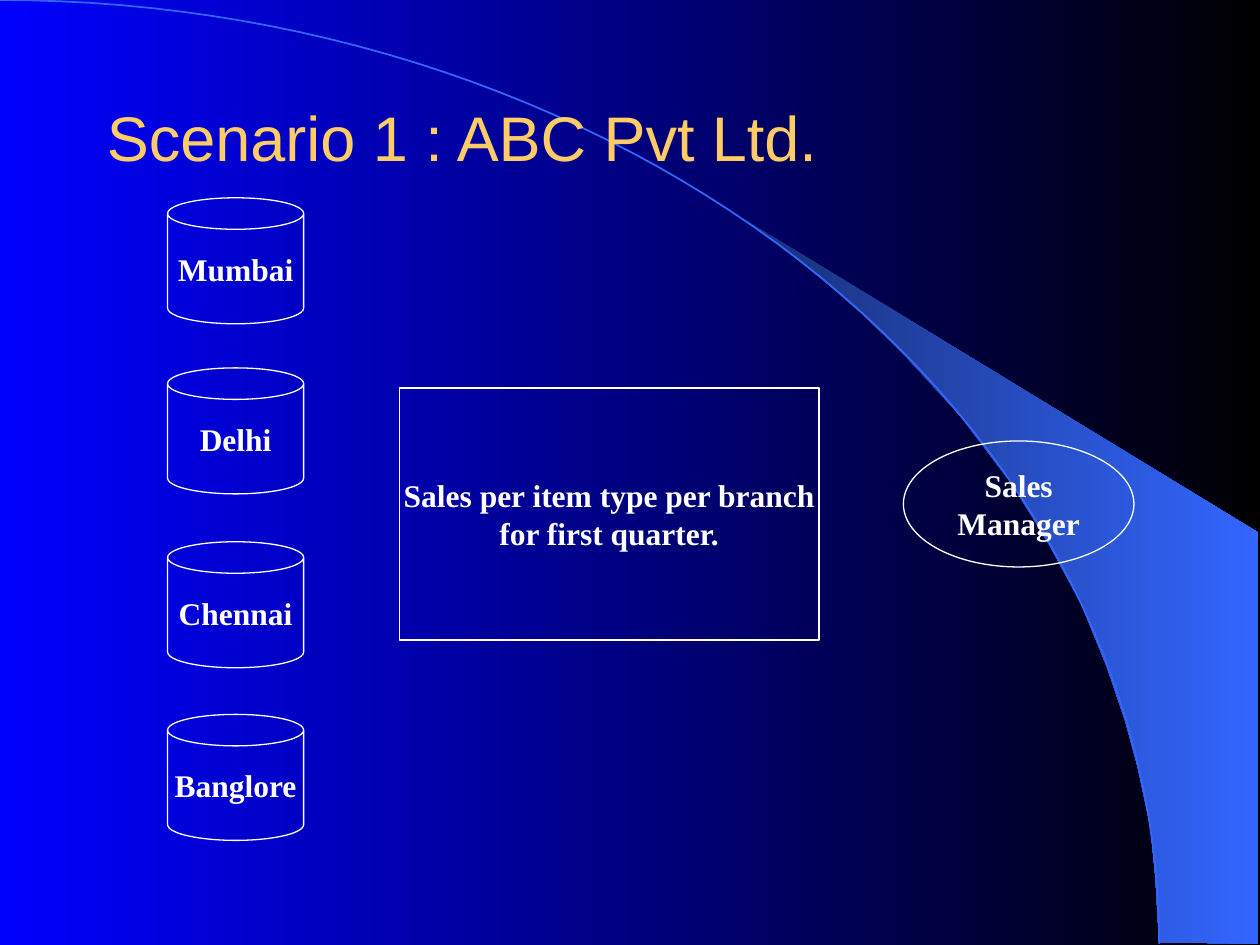
from dataclasses import dataclass
from math import cos, pi, sin

from pptx import Presentation
from pptx.dml.color import RGBColor
from pptx.enum.shapes import MSO_SHAPE
from pptx.enum.text import MSO_ANCHOR, PP_ALIGN
from pptx.util import Inches, Pt

CAN, OVAL, RECTANGLE = MSO_SHAPE.CAN, MSO_SHAPE.OVAL, MSO_SHAPE.RECTANGLE
LEFT, CENTER = PP_ALIGN.LEFT, PP_ALIGN.CENTER
MIDDLE = MSO_ANCHOR.MIDDLE

BLUE = RGBColor(0x00, 0x00, 0xFF)
BLACK = RGBColor(0x00, 0x00, 0x00)
NAVY = RGBColor(0x18, 0x2F, 0x76)
SKY = RGBColor(0x33, 0x66, 0xFF)
GOLD = RGBColor(0xFF, 0xCC, 0x66)
WHITE = RGBColor(0xFF, 0xFF, 0xFF)

ARC_WIDTH, ARC_HEIGHT, ARC_STEPS = 9.2, 7.49, 60

BEAM_OUTLINE = [
    (9.2, 7.48), (9.99, 7.49), (9.99, 4.23), (5.89, 1.73), (6.24, 1.99),
    (6.53, 2.22), (6.85, 2.5), (7.16, 2.8), (7.62, 3.3), (8.03, 3.84),
    (8.32, 4.31), (8.58, 4.79), (8.78, 5.28), (8.93, 5.72), (9.03, 6.09),
    (9.13, 6.56), (9.17, 6.96),
]


@dataclass
class Node:
    text: str
    kind: MSO_SHAPE
    left: float
    top: float
    width: float
    height: float


BRANCH_TOPS = {"Mumbai": 1.57, "Delhi": 2.92, "Chennai": 4.3, "Banglore": 5.67}
NODES = [Node(city, CAN, 1.33, top, 1.08, 1) for city, top in BRANCH_TOPS.items()] + [
    Node("Sales\nManager", OVAL, 7.17, 3.5, 1.83, 1),
    Node("Sales per item type per branch\nfor first quarter.", RECTANGLE, 3.17, 3.08, 3.33, 2),
]


def set_gradient(fill, start: RGBColor, end: RGBColor) -> None:
    fill.gradient()
    fill.gradient_angle = 0
    for stop, position, color in zip(fill.gradient_stops, (0, 1), (start, end)):
        stop.position = position
        stop.color.rgb = color


def write_text(shape, text: str, *, font: str, size: float, color: RGBColor,
               bold: bool = False, align: PP_ALIGN = CENTER, wrap: bool = False) -> None:
    frame = shape.text_frame
    frame.word_wrap = wrap
    frame.vertical_anchor = MIDDLE
    frame.text = text
    for paragraph in frame.paragraphs:
        paragraph.alignment = align
        for run in paragraph.runs:
            run.font.name = font
            run.font.size = Pt(size)
            run.font.bold = bold
            run.font.color.rgb = color


def draw_outline(slide, points: list[tuple[float, float]], close: bool):
    corners = [(Inches(x), Inches(y)) for x, y in points]
    builder = slide.shapes.build_freeform(*corners[0])
    builder.add_line_segments(corners[1:], close=close)
    outline = builder.convert_to_shape()
    outline.shadow.inherit = False
    return outline


def draw_node(slide, node: Node) -> None:
    shape = slide.shapes.add_shape(node.kind, Inches(node.left), Inches(node.top),
                                   Inches(node.width), Inches(node.height))
    shape.shadow.inherit = False
    shape.fill.background()
    shape.line.color.rgb = WHITE
    shape.line.width = Pt(0.75)
    write_text(shape, node.text, font="Times New Roman", size=18, color=WHITE, bold=True)


def main() -> None:
    prs = Presentation()
    prs.slide_width, prs.slide_height = Inches(10), Inches(7.5)
    slide = prs.slides.add_slide(prs.slide_layouts[6])

    # Backdrop: gradient, beam of light and quarter-ellipse arc
    set_gradient(slide.background.fill, BLUE, BLACK)
    beam = draw_outline(slide, BEAM_OUTLINE, close=True)
    set_gradient(beam.fill, NAVY, SKY)
    beam.line.fill.background()

    angles = [pi / 2 * step / ARC_STEPS for step in range(ARC_STEPS + 1)]
    arc_points = [(ARC_WIDTH * sin(a), ARC_HEIGHT * (1 - cos(a))) for a in angles]
    arc = draw_outline(slide, arc_points, close=False)
    arc.fill.background()
    arc.line.color.rgb = SKY
    arc.line.width = Pt(1)

    # Title
    title = slide.shapes.add_textbox(Inches(0.75), Inches(0.67), Inches(8.5), Inches(0.83))
    write_text(title, "Scenario 1 : ABC Pvt Ltd.", font="Arial", size=36, color=GOLD,
               align=LEFT, wrap=True)

    # Branches, manager and report
    for node in NODES:
        draw_node(slide, node)

    prs.save("out.pptx")


if __name__ == "__main__":
    main()
